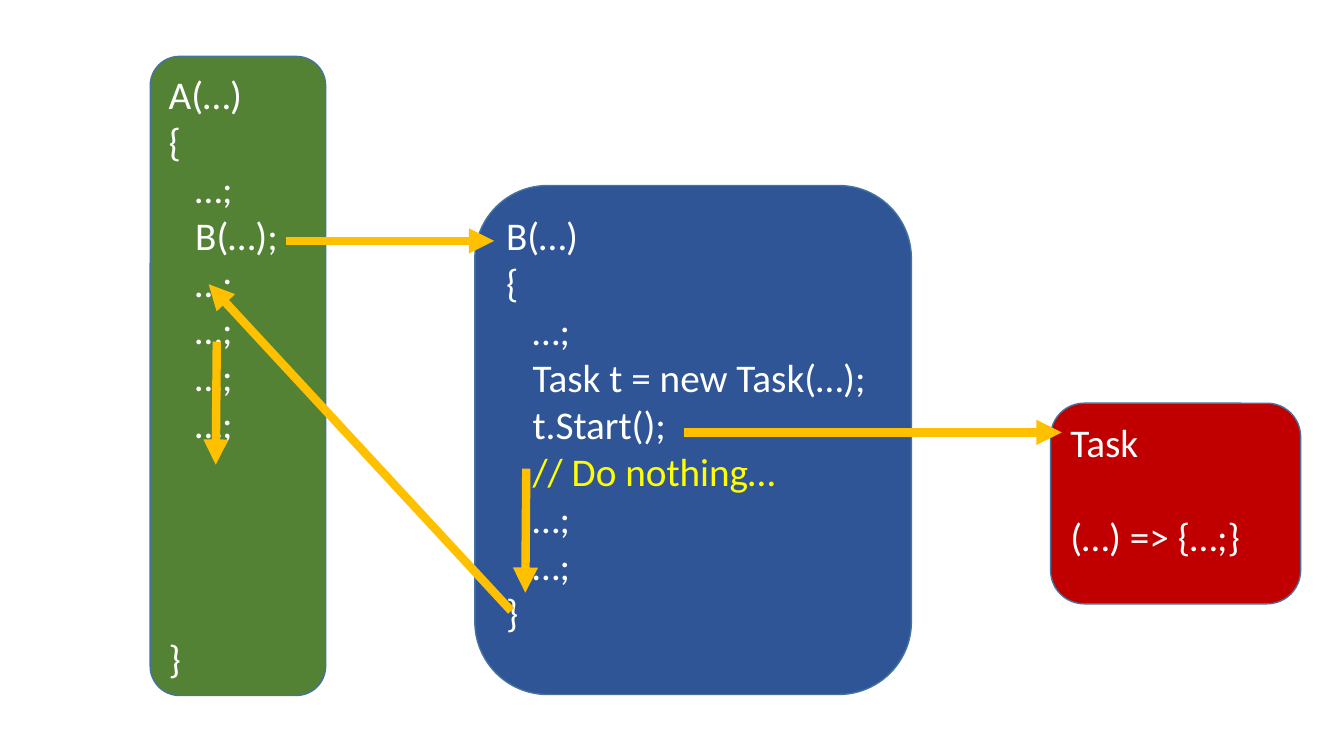
from lxml.etree import SubElement
from pptx import Presentation
from pptx.dml.color import RGBColor
from pptx.enum.shapes import MSO_CONNECTOR, MSO_SHAPE
from pptx.enum.text import MSO_ANCHOR, PP_ALIGN
from pptx.oxml.ns import qn
from pptx.util import Inches, Pt

COLORS = {
    "caller": "548235", "method": "2F5597", "task": "C00000",
    "outline": "43739E", "arrow": "FFC000",
    "code": "FFFFFF", "comment": "FFFF00",
}
FONT_SIZE = 28
LINE_PITCH = 33.6

CALLER_CODE = ["A(…)", "{", "   …;", "   B(…);"] + ["   …;"] * 4 + ["}"]
METHOD_CODE = ["B(…)", "{", "   …;", "   Task t = new Task(…);", "   t.Start();",
               "   // Do nothing…", "   …;", "   …;", "}"]
TASK_CODE = ["Task", "(…) => {…;}"]

ARROWS = [
    ((2.84, 2.39), (4.9, 2.39)),
    ((6.78, 4.29), (10.53, 4.29)),
    ((5.22, 4.65), (5.21, 5.88)),
    ((5.07, 6.06), (2.07, 2.82)),
    ((2.15, 3.39), (2.14, 4.61)),
]


def rgb(name):
    return RGBColor.from_string(COLORS[name])


def add_code_box(slide, box, fill, lines, gap_lines=0):
    """Add a rounded box of code; gap_lines is the space above its last line."""
    sp = slide.shapes.add_shape(MSO_SHAPE.ROUNDED_RECTANGLE, *map(Inches, box))
    sp.shadow.inherit = False
    sp.fill.solid()
    sp.fill.fore_color.rgb = rgb(fill)
    sp.line.color.rgb = rgb("outline")
    sp.line.width = Pt(1)
    tf = sp.text_frame
    tf.word_wrap = True
    tf.vertical_anchor = MSO_ANCHOR.TOP
    tf.text = "\n".join(lines)
    for p in tf.paragraphs:
        p.alignment = PP_ALIGN.LEFT
        for r in p.runs:
            r.font.name = "Calibri"
            r.font.size = Pt(FONT_SIZE)
            is_comment = r.text.lstrip().startswith("//")
            r.font.color.rgb = rgb("comment" if is_comment else "code")
    if gap_lines:
        p.space_before = Pt(gap_lines * LINE_PITCH)


def add_arrow(slide, start, end):
    points = [Inches(v) for v in start + end]
    line = slide.shapes.add_connector(MSO_CONNECTOR.STRAIGHT, *points)
    line.line.color.rgb = rgb("arrow")
    line.line.width = Pt(6)
    SubElement(line.line._get_or_add_ln(), qn("a:tailEnd"), type="triangle")
    SubElement(line._element.spPr, qn("a:effectLst"))


def main():
    prs = Presentation()
    prs.slide_width = Inches(13.33)
    prs.slide_height = Inches(7.5)
    slide = prs.slides.add_slide(prs.slide_layouts[6])

    add_code_box(slide, (1.49, 0.56, 1.74, 6.34), "caller", CALLER_CODE, gap_lines=4)
    add_code_box(slide, (10.42, 4, 2.48, 1.99), "task", TASK_CODE, gap_lines=1)
    add_code_box(slide, (4.71, 1.84, 4.33, 5.05), "method", METHOD_CODE)
    for start, end in ARROWS:
        add_arrow(slide, start, end)

    prs.save("out.pptx")


if __name__ == "__main__":
    main()
